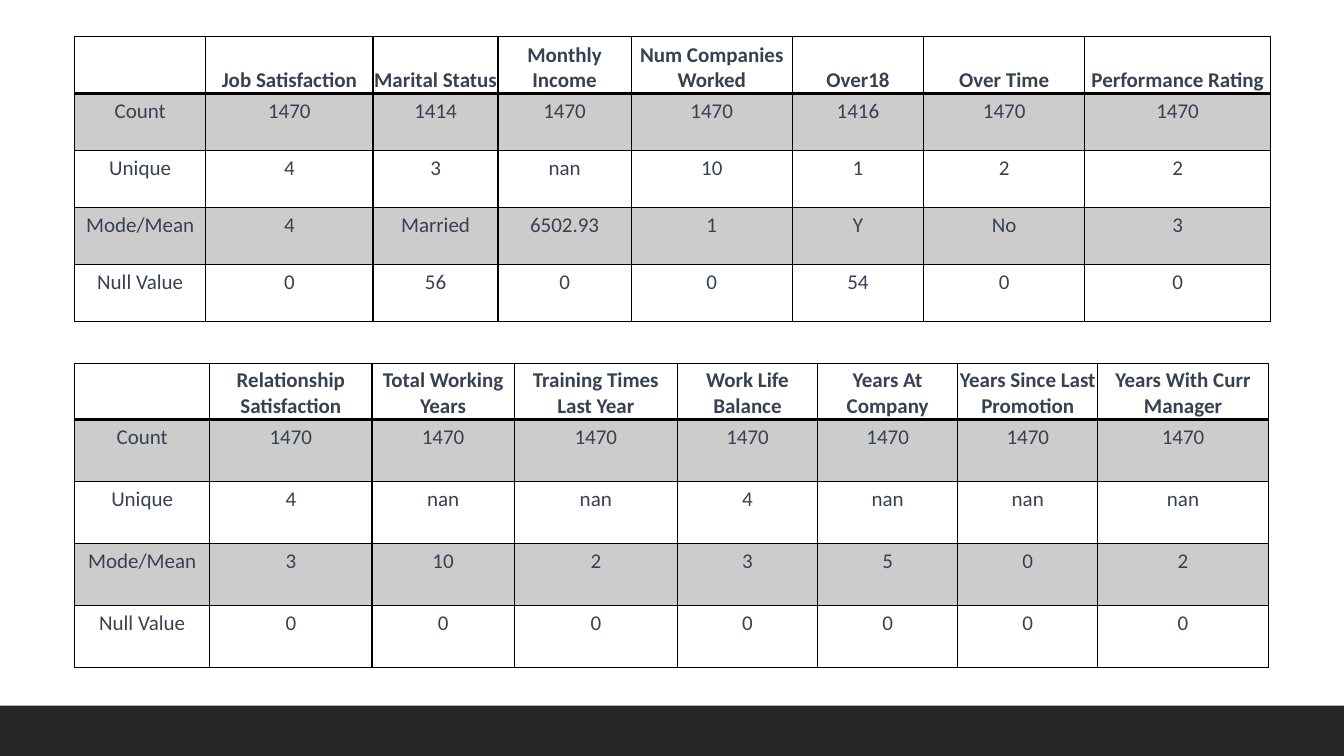
from lxml.etree import SubElement as Sub
from pptx import Presentation
from pptx.dml.color import RGBColor
from pptx.enum.shapes import MSO_SHAPE as Shape
from pptx.enum.text import MSO_ANCHOR as Anchor, PP_ALIGN as Align
from pptx.oxml.ns import qn
from pptx.util import Inches, Pt


def paint(fill, color, alpha=None):
    fill.solid()
    fill.fore_color.rgb = RGBColor.from_string(color)
    if alpha:
        tint = fill._xPr.find(qn("a:solidFill"))[0]
        Sub(tint, qn("a:alpha"), val=str(alpha * 1000))


def border(cell, side, width):
    line = Sub(cell._tc.get_or_add_tcPr(), qn("a:ln" + side), w=str(Pt(width)))
    fill = Sub(line, qn("a:solidFill"))
    Sub(fill, qn("a:srgbClr"), val="000000")


deck = Presentation()
deck.slide_width, deck.slide_height = Inches(13.33), Inches(7.5)
slide = deck.slides.add_slide(deck.slide_layouts[6])

# Footer band
band = slide.shapes.add_shape(
    Shape.RECTANGLE, 0, Inches(7), Inches(13.33), Inches(0.5))
band.shadow.inherit = False
paint(band.fill, "262626")
band.line.fill.background()

# Table data: top, column widths, row heights, rows
jobs = [
    ["", "Job Satisfaction", "Marital Status", "Monthly Income",
     "Num Companies Worked", "Over18", "Over Time", "Performance Rating"],
    ["Count", "1470", "1414", "1470", "1470", "1416", "1470", "1470"],
    ["Unique", "4", "3", "nan", "10", "1", "2", "2"],
    ["Mode/Mean", "4", "Married", "6502.93", "1", "Y", "No", "3"],
    ["Null Value", "0", "56", "0", "0", "54", "0", "0"],
]
years = [
    ["", "Relationship Satisfaction", "Total Working Years",
     "Training Times Last Year", "Work Life Balance", "Years At Company",
     "Years Since Last Promotion", "Years With Curr Manager"],
    ["Count"] + ["1470"] * 7,
    ["Unique", "4", "nan", "nan", "4", "nan", "nan", "nan"],
    ["Mode/Mean", "3", "10", "2", "3", "5", "0", "2"],
    ["Null Value"] + ["0"] * 7,
]
tables = [
    (0.36, [1.3, 1.66, 1.24, 1.32, 1.6, 1.3, 1.6, 1.84],
     [0.57] + [0.565] * 4, jobs),
    (3.61, [1.34, 1.61, 1.41, 1.62, 1.39, 1.39, 1.39, 1.69],
     [0.55] + [0.615] * 4, years),
]

# Summary tables
for top, widths, heights, rows in tables:
    grid = slide.shapes.add_table(
        len(rows), len(widths), Inches(0.74), Inches(top),
        Inches(sum(widths)), Inches(sum(heights))).table
    grid.first_row = grid.horz_banding = False
    for col, width in zip(grid.columns, widths):
        col.width = Inches(width)
    for r, row in enumerate(rows):
        grid.rows[r].height = Inches(heights[r])
        for c, text in enumerate(row):
            cell = grid.cell(r, c)

            # Borders, with a heavier rule under the header
            for side in "LRTB":
                heavy = (r, side) in [(0, "B"), (1, "T")]
                border(cell, side, 2 if heavy else 1)

            # Shading on alternate rows
            if r % 2:
                paint(cell.fill, "000000", 20)
            else:
                cell.fill.background()

            # Text
            if r == 0:
                cell.vertical_anchor = Anchor.BOTTOM
                cell.margin_left = cell.margin_right = Inches(0.01)
                cell.margin_top, cell.margin_bottom = Inches(0.01), 0
            cell.text_frame.text = text
            para = cell.text_frame.paragraphs[0]
            para.alignment = Align.CENTER
            for run in para.runs:
                font = run.font
                font.name, font.size, font.bold = "Calibri", Pt(15), r == 0
                paint(font.fill, "374151")

deck.save("out.pptx")
